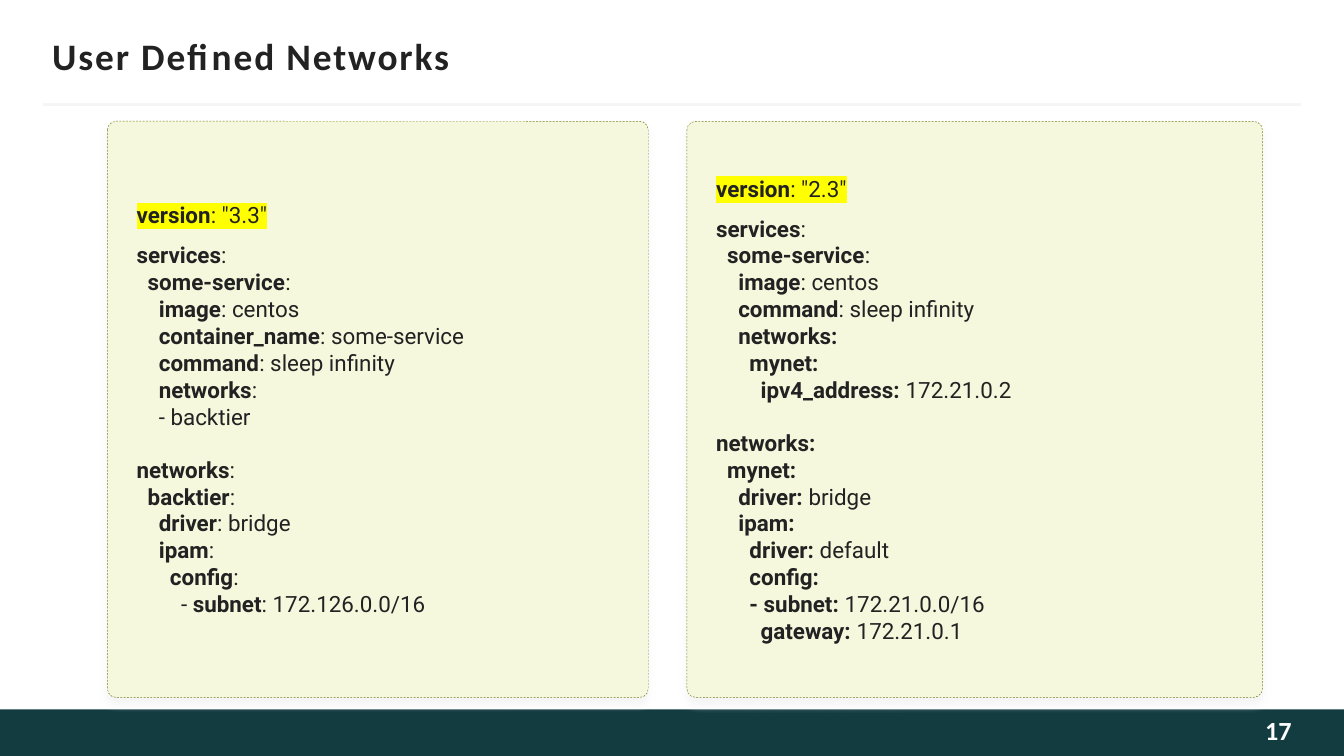
from pptx import Presentation
from pptx.dml.color import RGBColor
from pptx.enum.dml import MSO_LINE
from pptx.enum.shapes import MSO_CONNECTOR, MSO_SHAPE
from pptx.enum.text import MSO_ANCHOR, PP_ALIGN
from pptx.oxml.ns import qn
from pptx.util import Pt
from lxml.etree import SubElement

COLORS = {"ink": "222222", "bar": "133C41", "rule": "F5F5F5", "page": "FEFEFE",
          "card": "F5F8DD", "edge": "747E1B", "mark": "FFFF00"}
TITLE = "User Defined Networks"
PAGE = "17"

# Code blocks, split by the space between them; *stars* enclose bold text
LEFT = [
    ['*version*: "3.3"'],
    ["*services*:",
     "*  some-service*:",
     "    *image*: centos",
     "    *container_name*: some-service",
     "*    command*: sleep infinity",
     "    *networks*:",
     "    - backtier"],
    ["*networks*:",
     "  *backtier*:",
     "    *driver*: bridge",
     "    *ipam*:",
     "      *config*:",
     "        - *subnet*: 172.126.0.0/16"],
]
RIGHT = [
    ['*version*: "2.3"'],
    ["*services*:",
     "*  some-service*:",
     "    *image*: centos",
     "    *command*: sleep infinity",
     "    *networks:*",
     "*      mynet:*",
     "*        ipv4_address:* 172.21.0.2"],
    ["*networks:*",
     "*  mynet:*",
     "*    driver: *bridge",
     "*    ipam:*",
     "*      driver: *default",
     "*      config:*",
     "*      - subnet: *172.21.0.0/16",
     "*        gateway: *172.21.0.1"],
]
GAPS = [0, 7, 14]  # space before each block
CARDS = [(57.6, 289.7, LEFT), (367.9, 308.5, RIGHT)]  # left, width, code
TOP, HIGH = 65, 308.7


def color(name):
    return RGBColor.from_string(COLORS[name])


def style(para, face, size, tint, bold=None):
    font = para.font
    font.name, font.size, font.bold = face, Pt(size), bold
    font.color.rgb = color(tint)


def label(box, text, size, tint, insets):
    shape = slide.shapes.add_textbox(*map(Pt, box))
    frame = shape.text_frame
    frame.word_wrap = False
    frame.vertical_anchor = MSO_ANCHOR.MIDDLE
    (frame.margin_left, frame.margin_top,
     frame.margin_right, frame.margin_bottom) = map(Pt, insets)
    para = frame.paragraphs[0]
    run = para.add_run()
    run.text = text
    style(para, "Calibri", size, tint, True)
    return para


def mark(run):
    light = SubElement(run._r.get_or_add_rPr(), qn("a:highlight"))
    SubElement(light, qn("a:srgbClr"), val=COLORS["mark"])


def shade(shape):
    effects = shape._element.spPr.find(qn("a:effectLst"))
    outer = SubElement(effects, qn("a:outerShdw"), blurRad=str(Pt(4)),
                       dist=str(Pt(4)), dir="5400000", algn="t", rotWithShape="0")
    SubElement(outer, qn("a:srgbClr"), val=COLORS["rule"])


def card(left, width, blocks):
    shape = slide.shapes.add_shape(MSO_SHAPE.ROUNDED_RECTANGLE,
                                   Pt(left), Pt(TOP), Pt(width), Pt(HIGH))
    shape.adjustments[0] = 0.016
    shape.fill.solid()
    shape.fill.fore_color.rgb = color("card")
    shape.line.color.rgb = color("edge")
    shape.line.width = Pt(0.25)
    shape.line.dash_style = MSO_LINE.DASH
    shape.shadow.inherit = False
    shade(shape)

    frame = shape.text_frame
    frame.word_wrap = True
    frame.vertical_anchor = MSO_ANCHOR.MIDDLE
    para = frame.paragraphs[0]
    for num, (gap, lines) in enumerate(zip(GAPS, blocks)):
        for row, line in enumerate(lines):
            if num or row:
                para = frame.add_paragraph()
            para.alignment = PP_ALIGN.LEFT
            para.space_before = Pt(0 if row else gap)
            para._p.get_or_add_pPr().set("marL", str(Pt(7.2)))
            style(para, "Roboto", 12, "ink")
            for part, text in enumerate(line.split("*")):
                if text:
                    run = para.add_run()
                    run.text = text
                    run.font.bold = part % 2 == 1
                    if num == 0:
                        mark(run)


deck = Presentation()
deck.slide_width, deck.slide_height = Pt(720), Pt(405)
slide = deck.slides.add_slide(deck.slide_layouts[6])

# Footer bar
bar = slide.shapes.add_shape(MSO_SHAPE.RECTANGLE, Pt(0), Pt(380), Pt(720), Pt(25))
bar.fill.solid()
bar.fill.fore_color.rgb = color("bar")
bar.line.fill.background()
bar.shadow.inherit = False

# Rule under the title
rule = slide.shapes.add_connector(MSO_CONNECTOR.STRAIGHT,
                                  Pt(23), Pt(56.2), Pt(697), Pt(56.2))
rule.line.color.rgb = color("rule")
rule.line.width = Pt(1.5)
SubElement(rule._element.spPr, qn("a:effectLst"))

# Title and page number
head = label((28, 18, 664, 24), TITLE, 20, "ink", (0, 3.6, 0, 3.6))
head.alignment = PP_ALIGN.LEFT
head.runs[0]._r.get_or_add_rPr().set("spc", "100")
foot = label((584, 380, 108, 25), PAGE, 14, "page", (7.2, 3.6, 0, 6.5))
foot.alignment = PP_ALIGN.RIGHT

# Code cards
for spot in CARDS:
    card(*spot)

deck.save("out.pptx")
